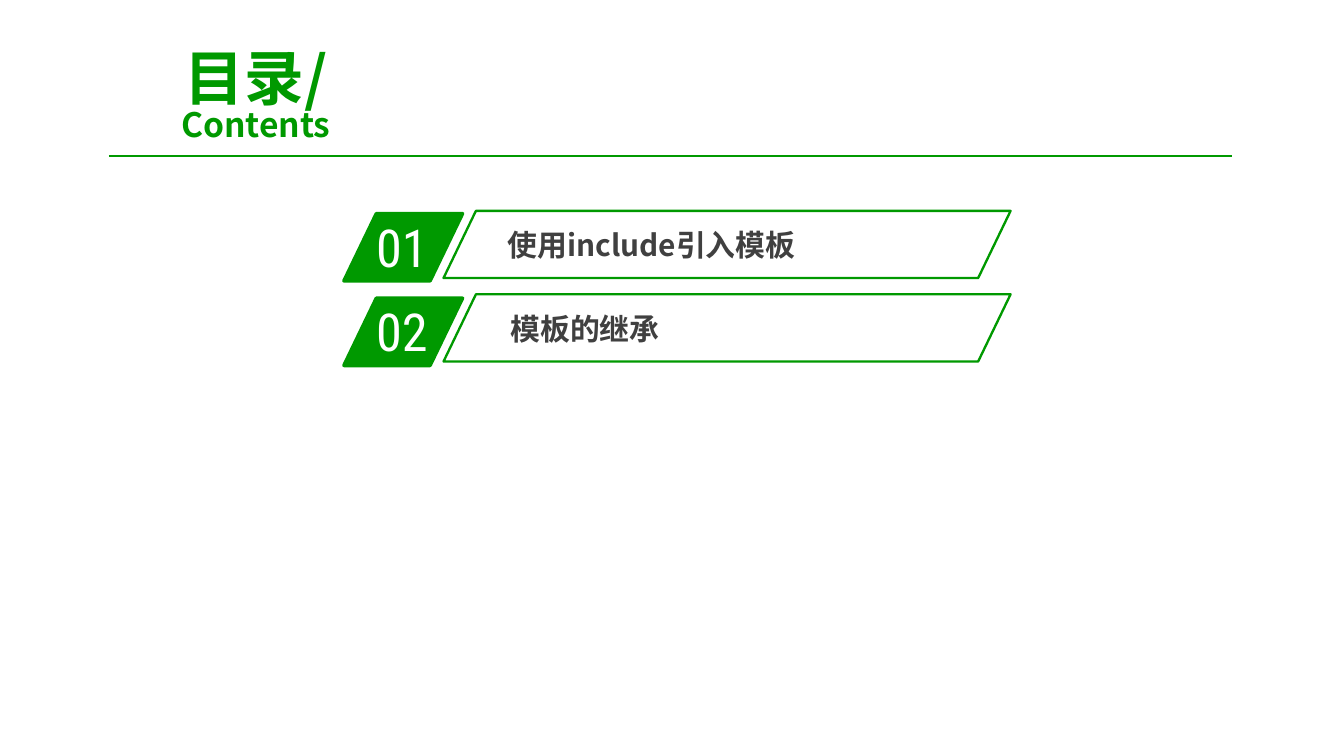
from lxml import etree
from pptx import Presentation
from pptx import util as u
from pptx.dml.color import RGBColor
from pptx.enum import shapes, text
from pptx.oxml.ns import qn

GREEN = RGBColor(0x00, 0x99, 0x00)
GRAY = RGBColor(0x40, 0x40, 0x40)
WHITE = RGBColor(0xFF, 0xFF, 0xFF)
HEADING_FONT = "Noto Sans CJK SC"
NUMBER_FONT = "Roboto Condensed"
SLANT = 0.482
ENTRIES = [
    ("01", "使用include引入模板", 114.5, 113, 267.1),
    ("02", "模板的继承", 159.8, 157.7, 268.6),
]


def lengths(*values):
    return [u.Pt(value) for value in values]


def style_span(span, size, font, color, bold=False):
    span.font.size = u.Pt(size)
    span.font.name = font
    span.font.bold = bold
    span.font.color.rgb = color
    east_asian = etree.SubElement(span.font._element, qn("a:ea"))
    east_asian.set("typeface", font)


def add_text(page, place, words, sizes, font, color, bold=False):
    box = page.shapes.add_textbox(*lengths(*place))
    box.text_frame.word_wrap = True
    para = box.text_frame.paragraphs[0]
    para.text = words
    for span, size in zip(para.runs, sizes):
        style_span(span, size, font, color, bold)
    return box


def add_title(page):
    box = add_text(page, (48.2, 33.8, 177.8, 38.9), "目录/\vContents",
                   (32, 18), HEADING_FONT, GREEN, True)
    box.text_frame.vertical_anchor = text.MSO_ANCHOR.MIDDLE
    para = box.text_frame.paragraphs[0]
    para.alignment = text.PP_ALIGN.CENTER
    para.line_spacing = 0.8
    para.space_before = u.Pt(6.4)


def add_rule(page):
    rule = page.shapes.add_connector(
        shapes.MSO_CONNECTOR.STRAIGHT, *lengths(58.3, 83.5, 660.2, 83.5))
    rule.line.color.rgb = GREEN
    rule.line.width = u.Pt(0.75)
    etree.SubElement(rule._element.spPr, qn("a:effectLst"))


def add_parallelogram(page, place, line_width, fill=None):
    shape = page.shapes.add_shape(
        shapes.MSO_SHAPE.PARALLELOGRAM, *lengths(*place))
    shape.adjustments[0] = SLANT
    shape.shadow.inherit = False
    shape.line.color.rgb = GREEN
    shape.line.width = u.Pt(line_width)
    if fill is None:
        shape.fill.background()
    else:
        shape.fill.solid()
        shape.fill.fore_color.rgb = fill


def add_entry(page, number, label, badge_top, frame_top, label_left):
    add_parallelogram(page, (184.3, badge_top, 63.4, 36), 2, GREEN)
    add_text(page, (194.4, badge_top - 2.9, 60.5, 41), number,
             (28,), NUMBER_FONT, WHITE)
    box = add_text(page, (label_left, frame_top + 5.8, 230, 25.2), label,
                   (16,), HEADING_FONT, GRAY, True)
    frame = box.text_frame
    frame.margin_left = frame.margin_right = u.Pt(5)
    frame.margin_top = frame.margin_bottom = u.Pt(2.9)
    add_parallelogram(page, (237.6, frame_top, 303.8, 36), 1.25)


def main():
    deck = Presentation()
    deck.slide_width, deck.slide_height = lengths(720, 405)
    page = deck.slides.add_slide(deck.slide_layouts[6])
    add_title(page)
    add_rule(page)
    for entry in ENTRIES:
        add_entry(page, *entry)
    deck.save("out.pptx")


if __name__ == "__main__":
    main()
